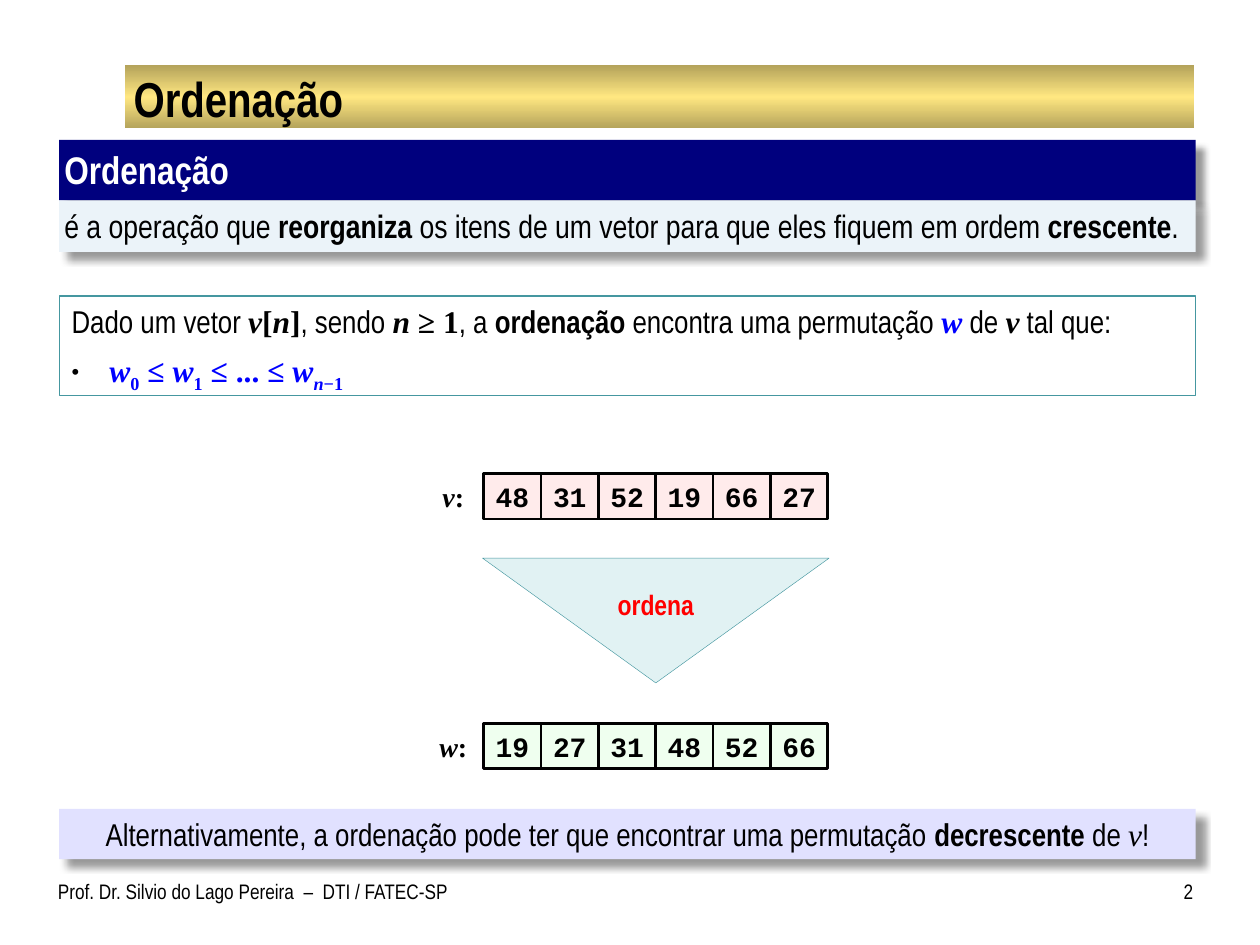
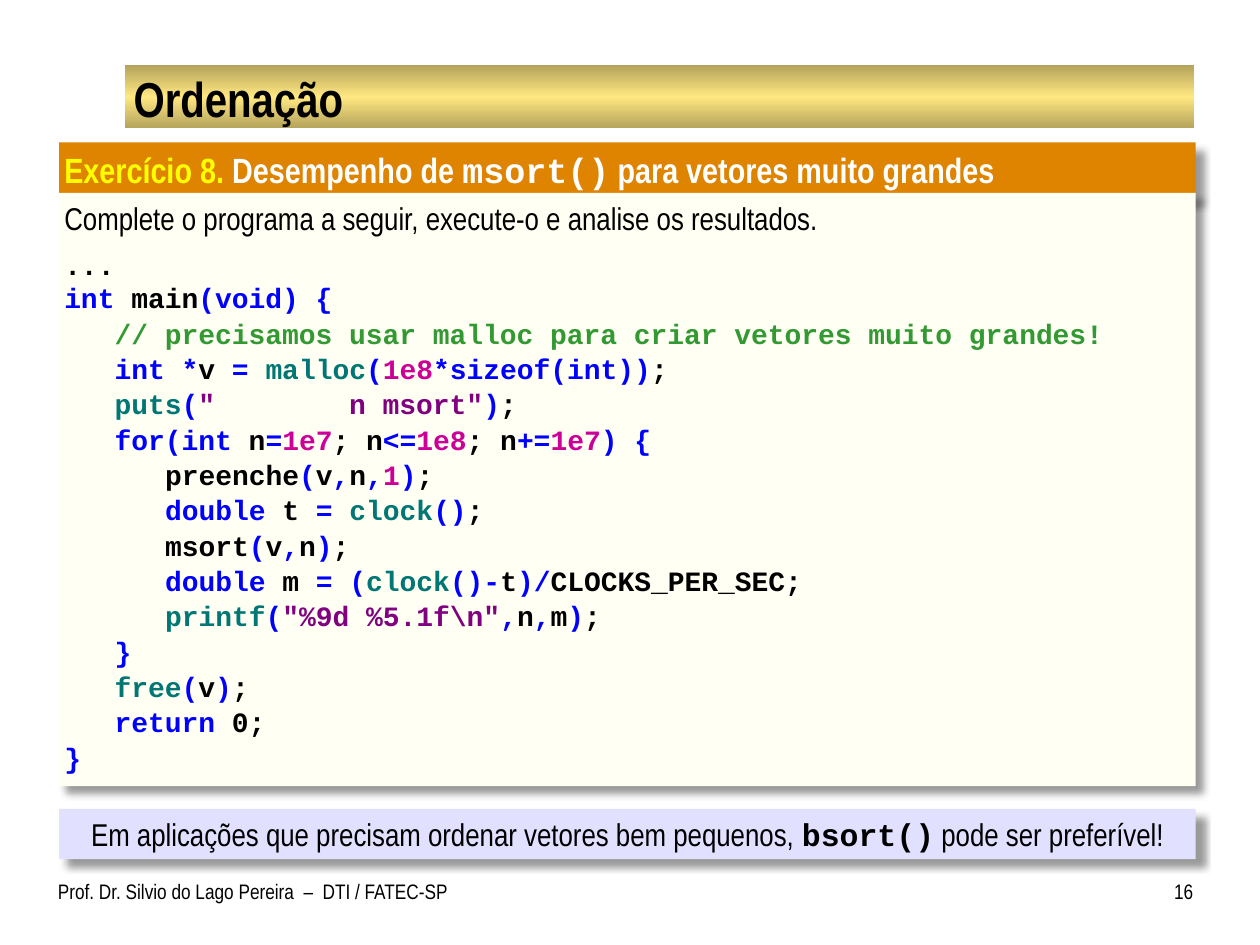
"""Build two lecture slides on sorting: the definition and a merge sort exercise."""
import lxml.etree
import pptx
import pptx.dml.color
import pptx.enum.shapes
import pptx.enum.text
import pptx.oxml.ns
import pptx.util

RGB = pptx.dml.color.RGBColor
SHAPE = pptx.enum.shapes.MSO_SHAPE
ALIGN = pptx.enum.text.PP_ALIGN
ANCHOR = pptx.enum.text.MSO_ANCHOR
Pt = pptx.util.Pt
qn = pptx.oxml.ns.qn

BLACK, WHITE = RGB(0, 0, 0), RGB(255, 255, 255)
BLUE, RED, YELLOW = RGB(0, 0, 255), RGB(255, 0, 0), RGB(255, 255, 0)
NAVY, ICE, ORANGE = RGB(0, 0, 0x7E), RGB(0xEB, 0xF3, 0xF9), RGB(0xDE, 0x84, 0)
IVORY, LILAC = RGB(255, 255, 0xF3), RGB(0xE1, 0xE1, 255)
PINK, MINT = RGB(255, 0xEB, 0xEB), RGB(0xEF, 255, 0xEF)
TEAL, PALE_TEAL = RGB(0x45, 0x97, 0xA0), RGB(0xE1, 0xF2, 0xF3)
GOLD, DARK_GOLD = RGB(255, 0xE7, 0x81), RGB(0xB4, 0xA3, 0x5B)
INK = {"k": BLACK, "b": BLUE, "c": RGB(0x33, 0x99, 0x33), "f": RGB(0, 0x77, 0x74),
       "n": RGB(0xCC, 0, 0x99), "s": RGB(0x80, 0, 0x80)}

NARROW, MONO, SERIF = "Arial Narrow", "Courier New", "Times New Roman"
BOLD = dict(bold=True)
MATH = dict(font=SERIF, bold=True)
VAR = dict(MATH, italic=True)
BLUE_MATH, BLUE_VAR = dict(MATH, color=BLUE), dict(VAR, color=BLUE)
CODE = dict(font=MONO, bold=True)

prs = pptx.Presentation()
prs.slide_width, prs.slide_height = pptx.util.Inches(10), pptx.util.Inches(7.5)
COL, ROW = prs.slide_width / 100, prs.slide_height / 75
LEFT, WIDTH = 4.7, 90.2
layout = prs.slide_layouts[5]


def write(p, text, font=NARROW, size=18, color=BLACK, bold=False, italic=False, base=0):
    r = p.add_run()
    r.text = text
    r.font.name, r.font.size, r.font.color.rgb = font, Pt(size), color
    r.font.bold, r.font.italic = bold, italic
    if base:
        r.font._element.set("baseline", str(base * 1000))


def box(slide, left, top, width, height, fill=None, line=None, weight=0.75, shadow=False,
        kind=SHAPE.RECTANGLE, sides=(7.2, 7.2), ends=(3.6, 3.6), anchor=ANCHOR.TOP, align=ALIGN.LEFT):
    sp = slide.shapes.add_shape(kind, int(left * COL), int(top * ROW), int(width * COL), int(height * ROW))
    sp.shadow.inherit = False
    if fill is None:
        sp.fill.background()
    else:
        sp.fill.solid()
        sp.fill.fore_color.rgb = fill
    if line is None:
        sp.line.fill.background()
    else:
        sp.line.color.rgb, sp.line.width = line, Pt(weight)
    if shadow:
        effects = sp.element.spPr.find(qn("a:effectLst"))
        outer = lxml.etree.SubElement(effects, qn("a:outerShdw"), blurRad=str(Pt(4)), dist=str(Pt(6)),
                                      dir="2700000", algn="tl", rotWithShape="0")
        black = lxml.etree.SubElement(outer, qn("a:srgbClr"), val="000000")
        lxml.etree.SubElement(black, qn("a:alpha"), val="40000")
    tf = sp.text_frame
    tf.word_wrap, tf.vertical_anchor = True, anchor
    tf.margin_left, tf.margin_right = map(Pt, sides)
    tf.margin_top, tf.margin_bottom = map(Pt, ends)
    tf.paragraphs[0].alignment = align
    return sp


pages = [
    ("2", [("Alternativamente, a ordenação pode ter que encontrar uma permutação ", {}),
           ("decrescente ", BOLD), ("de ", {}), ("v", dict(font=SERIF, italic=True)), ("!", {})]),
    ("16", [("Em aplicações que precisam ordenar vetores bem pequenos, ", {}),
            ("bsort()", CODE), (" pode ser preferível!", {})]),
]
slides = []
for number, note in pages:
    s = prs.slides.add_slide(layout)
    slides.append(s)
    title = s.shapes.title
    title.left, title.top = int(10 * COL), int(5.4 * ROW)
    title.width, title.height = int(84.7 * COL), int(4.7 * ROW)
    tf = title.text_frame
    tf.auto_size, tf.vertical_anchor = pptx.enum.text.MSO_AUTO_SIZE.NONE, ANCHOR.MIDDLE
    tf.margin_left = tf.margin_right = Pt(4.3)
    tf.margin_top = tf.margin_bottom = Pt(0.7)
    tf.paragraphs[0].alignment = ALIGN.LEFT
    write(tf.paragraphs[0], "Ordenação", size=28, bold=True)

    sp = box(s, LEFT, 64.2, WIDTH, 4, fill=LILAC, shadow=True, align=ALIGN.CENTER)
    for text, style in note:
        write(sp.text_frame.paragraphs[0], text, **style)
    sp = box(s, 4.6, 69.2, 36, 4.2, sides=(0, 7.2))
    write(sp.text_frame.paragraphs[0], "Prof. Dr. Silvio do Lago Pereira  –  DTI / FATEC-SP", size=12)
    sp = box(s, 90.8, 69.2, 3.9, 4.2, sides=(7.2, 0), align=ALIGN.RIGHT)
    write(sp.text_frame.paragraphs[0], number, size=12)

definition, exercise = slides

band = box(definition, 9.9, 5.2, 84.9, 5)
band.fill.gradient()
band.fill.gradient_angle = 270
stops = band.element.spPr.find(qn("a:gradFill")).find(qn("a:gsLst"))
for stop in list(stops):
    stops.remove(stop)
for position, color in [(0, DARK_GOLD), (50, GOLD), (100, DARK_GOLD)]:
    stop = lxml.etree.SubElement(stops, qn("a:gs"), pos=str(position * 1000))
    lxml.etree.SubElement(stop, qn("a:srgbClr"), val=str(color))
band.element.nvSpPr.cNvPr.set("id", "99")
layout.shapes.element.insert(2, band.element)

sp = box(definition, LEFT, 11.1, WIDTH, 4.8, fill=NAVY, shadow=True, sides=(2.9, 2.9))
write(sp.text_frame.paragraphs[0], "Ordenação", size=22, color=WHITE, bold=True)
sp = box(definition, LEFT, 15.9, WIDTH, 4.1, fill=ICE, shadow=True, sides=(2.9, 2.9))
for text, bold in [("é a operação que ", False), ("reorganiza", True),
                   (" os itens de um vetor para que eles fiquem em ordem ", False),
                   ("crescente", True), (".", False)]:
    write(sp.text_frame.paragraphs[0], text, size=18.5, bold=bold)

sp = box(definition, LEFT, 23.5, WIDTH, 7.9, line=TEAL, align=ALIGN.JUSTIFY)
p = sp.text_frame.paragraphs[0]
for text, style in [("Dado um vetor ", {}), ("v", VAR), ("[", MATH), ("n", VAR), ("]", MATH),
                    (", sendo ", {}), ("n ", VAR), ("≥ 1", MATH), (", a ", {}), ("ordenação", BOLD),
                    (" encontra uma permutação ", {}), ("w", BLUE_VAR), (" de ", {}), ("v", VAR),
                    (" tal que:", {})]:
    write(p, text, **style)
p = sp.text_frame.add_paragraph()
p.alignment, p.space_before = ALIGN.JUSTIFY, Pt(6)
pPr = p._p.get_or_add_pPr()
pPr.set("marL", str(int(3 * COL)))
pPr.set("indent", str(int(-3 * COL)))
bullet_color = lxml.etree.SubElement(pPr, qn("a:buClr"))
lxml.etree.SubElement(bullet_color, qn("a:srgbClr"), val=str(BLACK))
lxml.etree.SubElement(pPr, qn("a:buSzPct"), val="69000")
lxml.etree.SubElement(pPr, qn("a:buFont"), typeface="Arial")
lxml.etree.SubElement(pPr, qn("a:buChar"), char="•")
for text, style, base in [("w", BLUE_VAR, 0), ("0", BLUE_MATH, -25), (" ≤ ", BLUE_MATH, 0),
                          ("w", BLUE_VAR, 0), ("1", BLUE_MATH, -25), (" ≤ ... ≤ ", BLUE_MATH, 0),
                          ("w", BLUE_VAR, 0), ("n", BLUE_VAR, -25), ("−1", BLUE_MATH, -25)]:
    write(p, text, base=base, **style)

CELL = 4.55
centred = dict(sides=(0, 0), anchor=ANCHOR.MIDDLE, align=ALIGN.CENTER)
for name, top, fill, values in [("v", 37.6, PINK, [48, 31, 52, 19, 66, 27]),
                                ("w", 57.4, MINT, [19, 27, 31, 48, 52, 66])]:
    sp = box(definition, 33.7, top, CELL, 3.6, fill=WHITE, **centred)
    write(sp.text_frame.paragraphs[0], name, size=16, **VAR)
    write(sp.text_frame.paragraphs[0], ":", size=16, **MATH)
    for i, value in enumerate(values):
        sp = box(definition, 38.4 + i * CELL, top, CELL, 3.6, fill=fill, line=BLACK, weight=1.5, **centred)
        write(sp.text_frame.paragraphs[0], str(value), size=16, **CODE)
sp = box(definition, 38.3, 44.3, 27.5, 9.9, fill=PALE_TEAL, line=TEAL, weight=0.25,
         kind=SHAPE.FLOWCHART_MERGE, ends=(20, 3), **centred)
write(sp.text_frame.paragraphs[0], "ordena", size=16, color=RED, bold=True)

sp = box(exercise, LEFT, 11.3, WIDTH, 4.4, fill=ORANGE, shadow=True, sides=(2.9, 7.2))
for text, font, color in [("Exercício 8.", NARROW, YELLOW), (" Desempenho de ", NARROW, WHITE),
                          ("msort()", MONO, WHITE), (" para vetores muito grandes", NARROW, WHITE)]:
    write(sp.text_frame.paragraphs[0], text, font=font, size=20, color=color, bold=True)

program = [
    (0, "k..."),
    (0, "bint |kmain|b(void) {"),
    (1, "c// precisamos usar malloc para criar vetores muito grandes!"),
    (1, "bint *|kv|b = |fmalloc|b(|n1e8|b*sizeof(int))|k;"),
    (1, 'fputs|b(|s"        n msort"|b)|k;'),
    (1, "bfor(int|k n|b=|n1e7|k; n|b<=|n1e8|k; n|b+=|n1e7|b) {"),
    (2, "kpreenche|b(|kv|b,|kn|b,|n1|b)|k;"),
    (2, "bdouble|k t |b= |fclock|b()|k;"),
    (2, "kmsort|b(|kv|b,|kn|b)|k;"),
    (2, "bdouble|k m |b= (|fclock|b()-|kt|b)/|kCLOCKS_PER_SEC;"),
    (2, 'fprintf|b(|s"%9d %5.1f\\n"|b,|kn|b,|km|b)|k;'),
    (1, "b}"),
    (1, "ffree|b(|kv|b)|k;"),
    (1, "breturn|k 0;"),
    (0, "b}"),
]
sp = box(exercise, LEFT, 15.3, WIDTH, 47.1, fill=IVORY, shadow=True, sides=(2.9, 2.9))
write(sp.text_frame.paragraphs[0], "Complete o programa a seguir, execute-o e analise os resultados.")
for i, (level, line) in enumerate(program):
    p = sp.text_frame.add_paragraph()
    p.alignment, p.space_before = ALIGN.LEFT, Pt({0: 6, 1: 0}.get(i, 1))
    p._p.get_or_add_pPr().set("marL", str(int(level * 4 * COL)))
    for part in line.split("|"):
        write(p, part[1:], size=16, color=INK[part[0]], **CODE)

prs.save("out.pptx")
